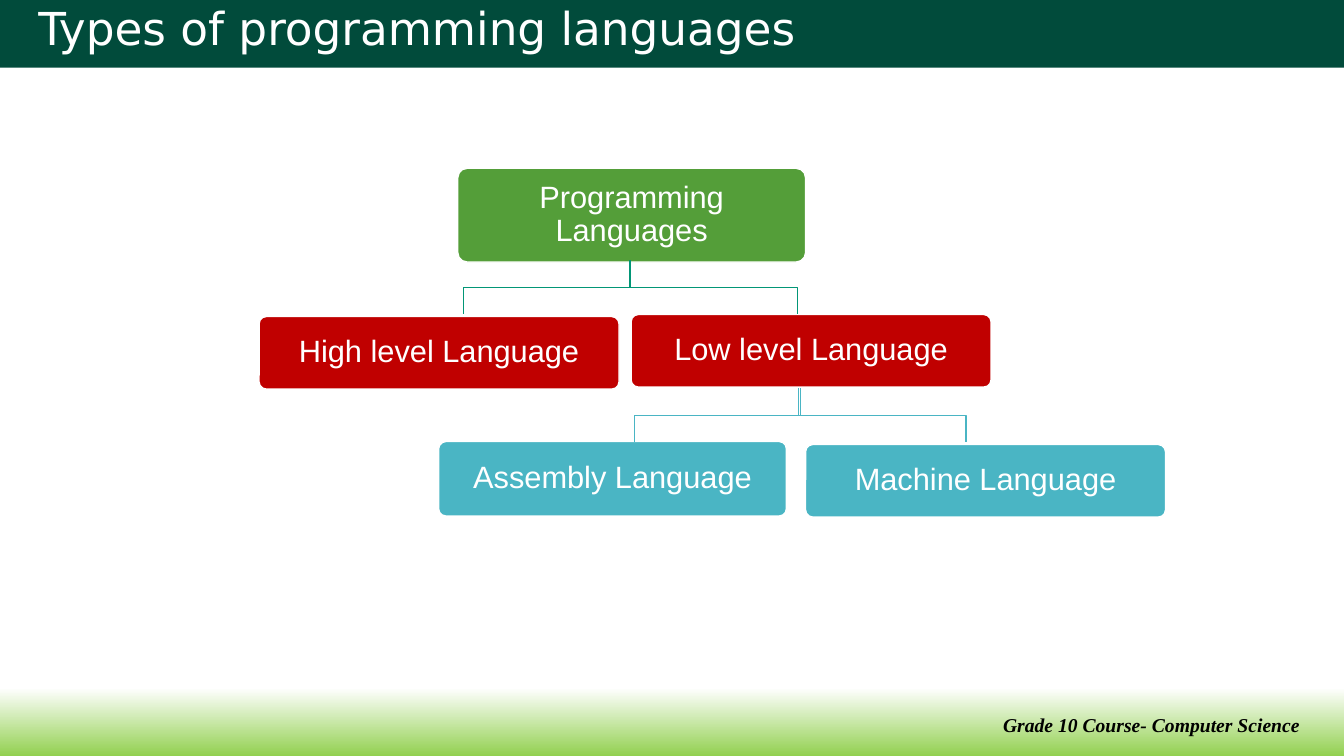
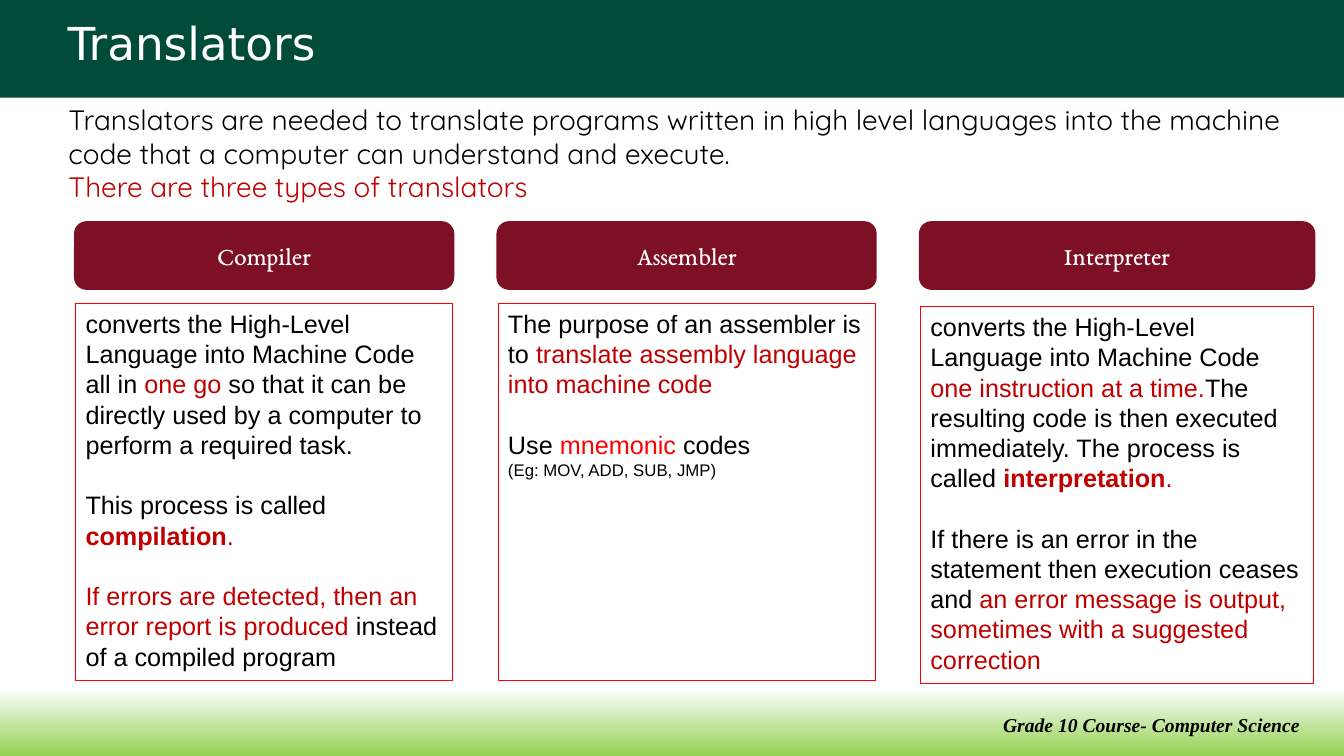
from pptx import Presentation
from pptx import util as u
from pptx.dml import color
from pptx.enum import shapes, text

rgb = color.RGBColor.from_string

# Shared look
BAND, WHITE, BLACK, RED = "014B3B", "FFFFFF", "000000", "C00000"
GREEN, TEAL, MAROON, BRIGHT_RED = "549E39", "4AB5C4", "7D1024", "FF0000"
TITLE = {"name": "DejaVu Sans", "size": u.Pt(32.4), "color": WHITE}
FOOTER = {"name": "Times New Roman", "size": u.Pt(14), "color": BLACK,
          "bold": True, "italic": True}
NODE = {"name": "Arial", "size": u.Pt(22), "color": WHITE}
INTRO = {"name": "Quicksand", "size": u.Pt(20), "color": BLACK}
HEADING = {"name": "EB Garamond", "size": u.Pt(18), "color": WHITE}
BODY = {"name": "Arial", "size": u.Pt(18), "color": BLACK}
ACCENT = {"color": RED}
TERM = {"color": RED, "bold": True}


def write(shape, paragraphs, font, align="LEFT", anchor="TOP",
          margin=None, paragraph_format=None):
    """Fill a shape with paragraphs, each a list of (text, font changes)."""
    frame = shape.text_frame
    frame.word_wrap = True
    frame.auto_size = text.MSO_AUTO_SIZE.NONE
    frame.vertical_anchor = getattr(text.MSO_ANCHOR, anchor)
    for side, inches in (margin or {}).items():
        setattr(frame, f"margin_{side}", u.Inches(inches))
    for index, runs in enumerate(paragraphs):
        paragraph = frame.add_paragraph() if index else frame.paragraphs[0]
        paragraph.alignment = getattr(text.PP_ALIGN, align)
        for name, value in (paragraph_format or {}).items():
            if index or name != "space_before":
                setattr(paragraph, name, value)
        for words, changes in runs:
            run = paragraph.add_run()
            run.text = words
            for name, value in {**font, **changes}.items():
                if name == "color":
                    run.font.color.rgb = rgb(value)
                else:
                    setattr(run.font, name, value)


def add_box(slide, kind, place, fill=None, line=WHITE, width=1, corner=None):
    """Add a preset shape at (left, top, width, height) in inches."""
    shape = slide.shapes.add_shape(getattr(shapes.MSO_SHAPE, kind),
                                   *map(u.Inches, place))
    shape.shadow.inherit = False
    if fill:
        shape.fill.solid()
        shape.fill.fore_color.rgb = rgb(fill)
    else:
        shape.fill.background()
    shape.line.color.rgb = rgb(line)
    shape.line.width = u.Pt(width)
    if corner:
        shape.adjustments[0] = corner
    return shape


presentation = Presentation()
presentation.slide_width = u.Inches(13.33)
presentation.slide_height = u.Inches(7.5)

# Background on the master: white fading to green at the foot
background = presentation.slide_master.background.fill
background.gradient()
background.gradient_angle = 270
for stop, (position, shade) in zip(background.gradient_stops,
                                   [(0.91, WHITE), (1, "92D050")]):
    stop.position = position
    stop.color.rgb = rgb(shade)

# Title bands and footers
slides = []
for heading, band_height, indent in [("Types of programming languages", 0.67, 0.38),
                                     ("Translators", 0.97, 0.67)]:
    slide = presentation.slides.add_slide(presentation.slide_layouts[5])
    title = slide.shapes.title
    title.left = title.top = 0
    title.width = presentation.slide_width
    title.height = u.Inches(band_height)
    title.fill.solid()
    title.fill.fore_color.rgb = rgb(BAND)
    write(title, [[(heading, {})]], TITLE, anchor="MIDDLE",
          margin={"left": indent, "bottom": 0.11},
          paragraph_format={"line_spacing": 0.9})
    footer = slide.shapes.add_textbox(*map(u.Inches, (9.85, 7.02, 3.4, 0.34)))
    write(footer, [[("Grade 10 Course- Computer Science", {})]], FOOTER)
    slides.append(slide)
types_slide, translators_slide = slides

# Language tree: boxes
for label, place, fill in [
    ("Programming Languages", (4.54, 1.67, 3.45, 0.93), GREEN),
    ("High level Language", (2.57, 3.14, 3.57, 0.72), RED),
    ("Low level Language", (6.26, 3.12, 3.57, 0.72), RED),
    ("Assembly Language", (4.35, 4.38, 3.45, 0.74), TEAL),
    ("Machine Language", (7.99, 4.41, 3.57, 0.72), TEAL),
]:
    node = add_box(types_slide, "ROUNDED_RECTANGLE", place, fill, corner=0.1)
    write(node, [[(label, {})]], NODE, "CENTER", "MIDDLE",
          {"left": 0.16, "right": 0.16}, {"line_spacing": 0.9})

# Language tree: branches, each going down, across and down
for start, end, top, shade in [(6.25, 4.6, 2.58, "029676"),
                               (6.25, 7.91, 2.58, "029676"),
                               (7.94, 6.29, 3.85, TEAL),
                               (7.92, 9.58, 3.85, TEAL)]:
    points = [(start, top + 0.27), (end, top + 0.27), (end, top + 0.54)]
    builder = types_slide.shapes.build_freeform(u.Inches(start), u.Inches(top))
    builder.add_line_segments([(u.Inches(x), u.Inches(y)) for x, y in points],
                              close=False)
    branch = builder.convert_to_shape()
    branch.shadow.inherit = False
    branch.fill.background()
    branch.line.color.rgb = rgb(shade)
    branch.line.width = u.Pt(1)

# Introduction to translators
intro = translators_slide.shapes.add_textbox(*map(u.Inches, (0.58, 0.97, 12.45, 1.11)))
write(intro, [
    [("Translators are needed to translate programs written in high level languages "
      "into the machine code that a computer can understand and execute.", {})],
    [("There are three types of translators", ACCENT)],
], INTRO)

# One column for each translator: heading, width, top of text, paragraphs
columns = [
    ("Compiler", 3.74, 3.01, [
        [("converts the High-Level Language into Machine Code all in ", {}),
         ("one go ", ACCENT),
         ("so that it can be directly used by a computer to perform a required task.", {})],
        [("This process is called ", {}), ("compilation", TERM), (".", ACCENT)],
        [("If errors are detected, then an error report is produced ", ACCENT),
         ("instead of a compiled program", {})],
    ]),
    ("Assembler", 3.74, 3.01, [
        [("The purpose of an assembler is to ", {}),
         ("translate assembly language into machine code", ACCENT)],
        [("Use ", {}), ("mnemonic ", {"color": BRIGHT_RED}), ("codes", {})],
        [("(Eg: MOV, ADD, SUB, JMP)", {"size": u.Pt(12)})],
    ]),
    ("Interpreter", 3.9, 3.04, [
        [("converts the High-Level Language into Machine Code ", {}),
         ("one instruction at a time.", ACCENT),
         ("The resulting code is then executed immediately. The process is called ", {}),
         ("interpretation", TERM), (".", ACCENT)],
        [("If there is an error in the statement then execution ceases and ", {}),
         ("an error message is output, sometimes with a suggested correction", ACCENT)],
    ]),
]
for index, (name, width, top, paragraphs) in enumerate(columns):
    left = 0.75 + 4.19 * index
    header = add_box(translators_slide, "ROUNDED_RECTANGLE", (left, 2.21, width, 0.65),
                     MAROON, MAROON, 2.25, 0.167)
    write(header, [[(name, {})]], HEADING, "CENTER", "MIDDLE")
    description = add_box(translators_slide, "RECTANGLE", (left, top, width, 3.74),
                          line=BRIGHT_RED, width=0.25)
    write(description, paragraphs, BODY, paragraph_format={"space_before": u.Pt(21.6)})
    if name == "Assembler":  # the example follows its line directly
        description.text_frame.paragraphs[-1].space_before = u.Pt(0)

presentation.save("out.pptx")
